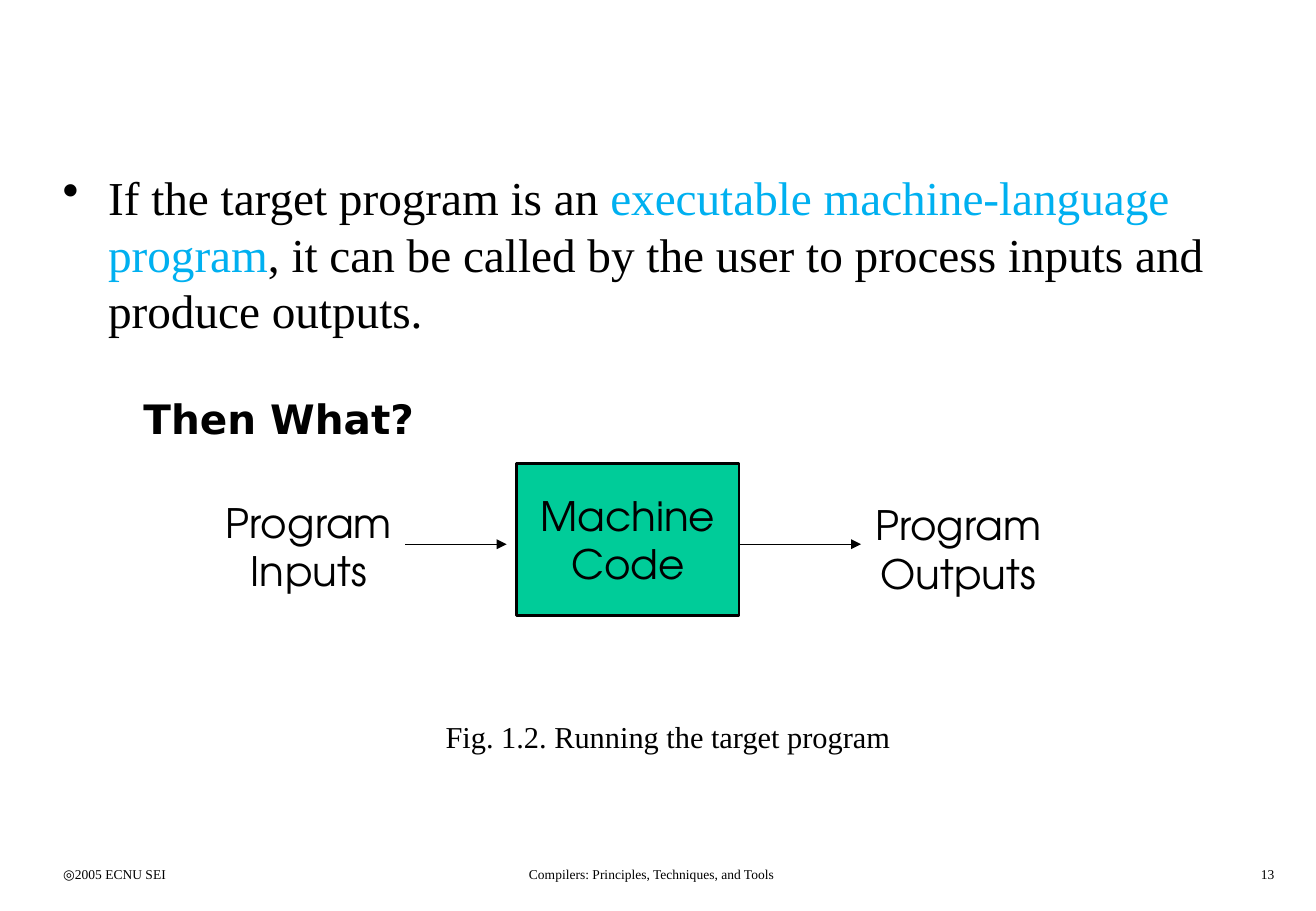
from lxml import etree
from pptx import Presentation
from pptx.dml.color import RGBColor
from pptx.enum.shapes import MSO_CONNECTOR, MSO_SHAPE
from pptx.enum.text import MSO_ANCHOR, PP_ALIGN
from pptx.oxml.ns import qn
from pptx.util import Cm, Pt

LEFT, CENTER, RIGHT = PP_ALIGN.LEFT, PP_ALIGN.CENTER, PP_ALIGN.RIGHT
TOP, MIDDLE = MSO_ANCHOR.TOP, MSO_ANCHOR.MIDDLE
RECTANGLE, STRAIGHT = MSO_SHAPE.RECTANGLE, MSO_CONNECTOR.STRAIGHT
SERIF, SANS, DIAGRAM = "Times New Roman", "DejaVu Sans", "TeX Gyre Adventor"
BLACK, BLUE, GREEN = "000000", "00B0F0", "00CC99"


def rgb(value):
    return RGBColor.from_string(value)


def add_bullet(paragraph, indent):
    properties = paragraph._p.get_or_add_pPr()
    properties.set("marL", str(indent))
    properties.set("indent", str(-indent))
    etree.SubElement(properties, qn("a:buChar")).set("char", "•")


def write(frame, paragraphs, font=SERIF, size=24, bold=False, align=LEFT,
          anchor=TOP, wrap=True, indent=None):
    frame.word_wrap = wrap
    frame.vertical_anchor = anchor
    for number, runs in enumerate(paragraphs):
        paragraph = frame.add_paragraph() if number else frame.paragraphs[0]
        paragraph.alignment = align
        if indent:
            add_bullet(paragraph, indent)
        for words, color in runs:
            run = paragraph.add_run()
            run.text = words
            run.font.name = font
            run.font.size = Pt(size)
            run.font.bold = bold
            run.font.color.rgb = rgb(color)


class Page:
    def __init__(self, slide, ink=BLACK):
        self.shapes = slide.shapes
        self.ink = ink

    def text(self, left, top, width, height, *paragraphs, **style):
        box = self.shapes.add_textbox(Cm(left), Cm(top), Cm(width), Cm(height))
        runs = [[(p, self.ink)] if isinstance(p, str) else p for p in paragraphs]
        write(box.text_frame, runs, **style)

    def block(self, left, top, width, height, *lines, fill, **style):
        box = self.shapes.add_shape(RECTANGLE, Cm(left), Cm(top), Cm(width), Cm(height))
        box.shadow.inherit = False
        box.fill.solid()
        box.fill.fore_color.rgb = rgb(fill)
        box.line.color.rgb = rgb(self.ink)
        box.line.width = Pt(1.5)
        write(box.text_frame, [[(line, self.ink)] for line in lines], **style)

    def arrow(self, start, end, y):
        arrow = self.shapes.add_connector(STRAIGHT, Cm(start), Cm(y), Cm(end), Cm(y))
        arrow.line.color.rgb = rgb(self.ink)
        arrow.line.width = Pt(0.75)
        etree.SubElement(arrow.line._get_or_add_ln(), qn("a:tailEnd")).set("type", "triangle")
        etree.SubElement(arrow._element.spPr, qn("a:effectLst"))


def main():
    deck = Presentation()
    deck.slide_width, deck.slide_height = Cm(27.51), Cm(19.05)
    page = Page(deck.slides.add_slide(deck.slide_layouts[6]))

    footers = [
        (1.07, 5.74, "◎2005 ECNU SEI", LEFT),
        (8.47, 10.31, "Compilers: Principles, Techniques, and Tools", CENTER),
        (21.15, 5.74, "13", RIGHT),
    ]
    for left, width, words, align in footers:
        page.text(left, 17.98, width, 0.64, words, size=8, align=align)

    statement = [
        ("If the target program is an ", BLACK),
        ("executable machine-language program", BLUE),
        (", it can be called by the user to process inputs and produce outputs.", BLACK),
    ]
    page.text(1.06, 3.39, 26.03, 4.2, statement, size=28, indent=Cm(0.95))
    page.text(0.95, 14.12, 26.03, 2.54, "Fig. 1.2. Running the target program",
              size=18, align=CENTER, anchor=MIDDLE)
    page.text(2.75, 8.12, 7.82, 1.27, "Then What?", font=SANS, bold=True)

    page.block(10.8, 9.69, 4.65, 3.18, "Machine", "Code", fill=GREEN, font=DIAGRAM,
               align=CENTER, anchor=MIDDLE, wrap=False)
    for start, end in [(8.47, 10.59), (15.46, 18)]:
        page.arrow(start, end, 11.38)
    page.text(3.38, 10.28, 6.15, 2.29, "Program Inputs", font=DIAGRAM, align=CENTER)
    page.text(17.84, 10.33, 4.39, 2.29, "Program Outputs", font=DIAGRAM, align=CENTER)

    deck.save("out.pptx")


if __name__ == "__main__":
    main()
